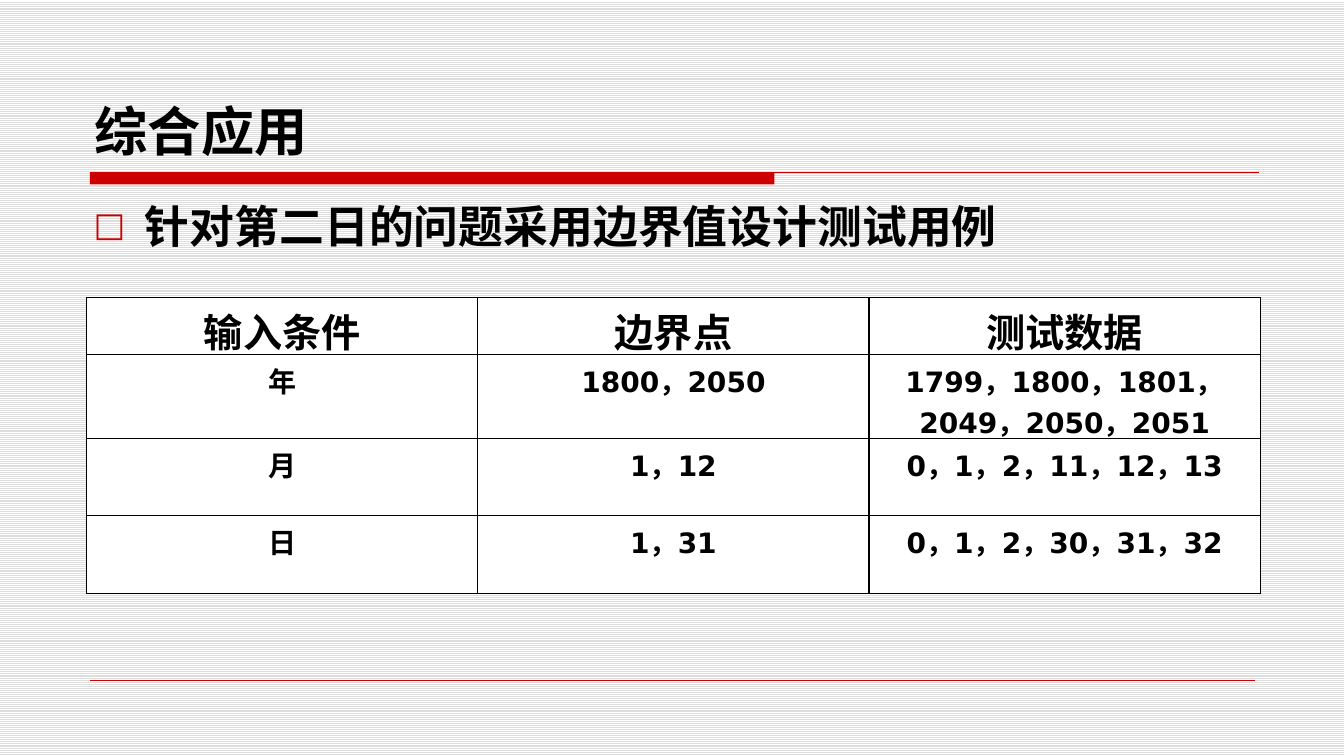
from dataclasses import dataclass

from pptx import Presentation
from pptx.dml.color import RGBColor
from pptx.enum.dml import MSO_PATTERN
from pptx.enum.shapes import MSO_CONNECTOR, MSO_SHAPE
from pptx.enum.text import MSO_ANCHOR, PP_ALIGN
from pptx.oxml.ns import qn
from pptx.util import Inches, Pt
from lxml.etree import SubElement


@dataclass(frozen=True)
class Theme:
    accent: str = "CC0000"
    ink: str = "000000"
    paper: str = "FFFFFF"
    stripe: str = "DDDDDD"
    latin_font: str = "DejaVu Sans"
    chinese_font: str = "Noto Sans CJK SC"
    title_size: int = 38
    body_size: int = 32
    header_size: int = 28
    cell_size: int = 20


def color(value):
    return RGBColor.from_string(value)


def write_text(frame, text, *, size, ink, latin, chinese, align=PP_ALIGN.LEFT):
    """Fill a text frame with one bold paragraph and return it."""
    paragraph = frame.paragraphs[0]
    paragraph.alignment = align
    run = paragraph.add_run()
    run.text = text
    run.font.size = Pt(size)
    run.font.bold = True
    run.font.name = latin
    run.font.color.rgb = color(ink)
    SubElement(run.font._element, qn("a:ea"), typeface=chinese)
    return paragraph


class SlideBuilder:
    def __init__(self, slide, theme):
        self.slide = slide
        self.theme = theme

    def background(self):
        fill = self.slide.background.fill
        fill.patterned()
        fill.pattern = MSO_PATTERN.LIGHT_HORIZONTAL
        fill.fore_color.rgb = color(self.theme.stripe)
        fill.back_color.rgb = color(self.theme.paper)

    def bar(self, left, top, width, height):
        shape = self.slide.shapes.add_shape(
            MSO_SHAPE.RECTANGLE, Inches(left), Inches(top), Inches(width), Inches(height))
        shape.shadow.inherit = False
        shape.fill.solid()
        shape.fill.fore_color.rgb = color(self.theme.accent)
        shape.line.fill.background()

    def rule(self, left, right, top, weight):
        connector = self.slide.shapes.add_connector(
            MSO_CONNECTOR.STRAIGHT, Inches(left), Inches(top), Inches(right), Inches(top))
        connector.line.color.rgb = color(self.theme.accent)
        connector.line.width = Pt(weight)
        SubElement(connector._element.spPr, qn("a:effectLst"))

    def text(self, text, left, top, width, height, *, size, latin,
             anchor=MSO_ANCHOR.TOP, bullet=None, indent=0.51):
        box = self.slide.shapes.add_textbox(
            Inches(left), Inches(top), Inches(width), Inches(height))
        frame = box.text_frame
        frame.word_wrap = True
        frame.vertical_anchor = anchor
        paragraph = write_text(frame, text, size=size, ink=self.theme.ink,
                               latin=latin, chinese=self.theme.chinese_font)
        if bullet:
            properties = paragraph._p.get_or_add_pPr()
            properties.set("marL", str(Inches(indent)))
            properties.set("indent", str(-Inches(indent)))
            bullet_color = SubElement(properties, qn("a:buClr"))
            SubElement(bullet_color, qn("a:srgbClr"), val=self.theme.accent)
            SubElement(properties, qn("a:buSzPct"), val="75000")
            SubElement(properties, qn("a:buFont"), typeface=self.theme.latin_font)
            SubElement(properties, qn("a:buChar"), char=bullet)

    def table(self, rows, left, top, column_width, row_heights):
        columns = len(rows[0])
        table = self.slide.shapes.add_table(
            len(rows), columns, Inches(left), Inches(top),
            Inches(column_width * columns), Inches(sum(row_heights))).table
        table.first_row = table.horz_banding = False
        for column in table.columns:
            column.width = Inches(column_width)
        for row_index, (values, height) in enumerate(zip(rows, row_heights)):
            table.rows[row_index].height = Inches(height)
            size = self.theme.cell_size if row_index else self.theme.header_size
            for column_index, value in enumerate(values):
                self.cell(table.cell(row_index, column_index), value, size)

    def cell(self, cell, text, size):
        properties = cell._tc.get_or_add_tcPr()
        for side in ("lnL", "lnR", "lnT", "lnB"):
            border = SubElement(properties, qn(f"a:{side}"), w=str(Pt(1)))
            border_fill = SubElement(border, qn("a:solidFill"))
            SubElement(border_fill, qn("a:srgbClr"), val=self.theme.ink)
        cell.fill.solid()
        cell.fill.fore_color.rgb = color(self.theme.paper)
        write_text(cell.text_frame, text, size=size, ink=self.theme.ink,
                   latin=self.theme.latin_font, chinese=self.theme.chinese_font,
                   align=PP_ALIGN.CENTER)


def main():
    presentation = Presentation()
    presentation.slide_width = Inches(13.33)
    presentation.slide_height = Inches(7.5)
    slide = presentation.slides.add_slide(presentation.slide_layouts[6])
    theme = Theme()
    builder = SlideBuilder(slide, theme)

    # Background and red rules
    builder.background()
    builder.bar(0.89, 1.71, 6.79, 0.12)
    builder.rule(0.89, 12.49, 1.71, 0.75)
    builder.rule(0.89, 12.45, 6.75, 0.25)

    # Title and bullet
    builder.text("综合应用", 0.84, 0.33, 11.67, 1.33, size=theme.title_size,
                 latin=theme.chinese_font, anchor=MSO_ANCHOR.BOTTOM)
    builder.text("针对第二日的问题采用边界值设计测试用例", 0.83, 1.92, 11.67, 0.8,
                 size=theme.body_size, latin=theme.latin_font, bullet="□")

    # Boundary value table
    builder.table([
        ("输入条件", "边界点", "测试数据"),
        ("年", "1800，2050", "1799，1800，1801，2049，2050，2051"),
        ("月", "1，12", "0，1，2，11，12，13"),
        ("日", "1，31", "0，1，2，30，31，32"),
    ], 0.86, 2.95, 3.88, (0.57, 0.83, 0.64, 0.62))

    presentation.save("out.pptx")


if __name__ == "__main__":
    main()
